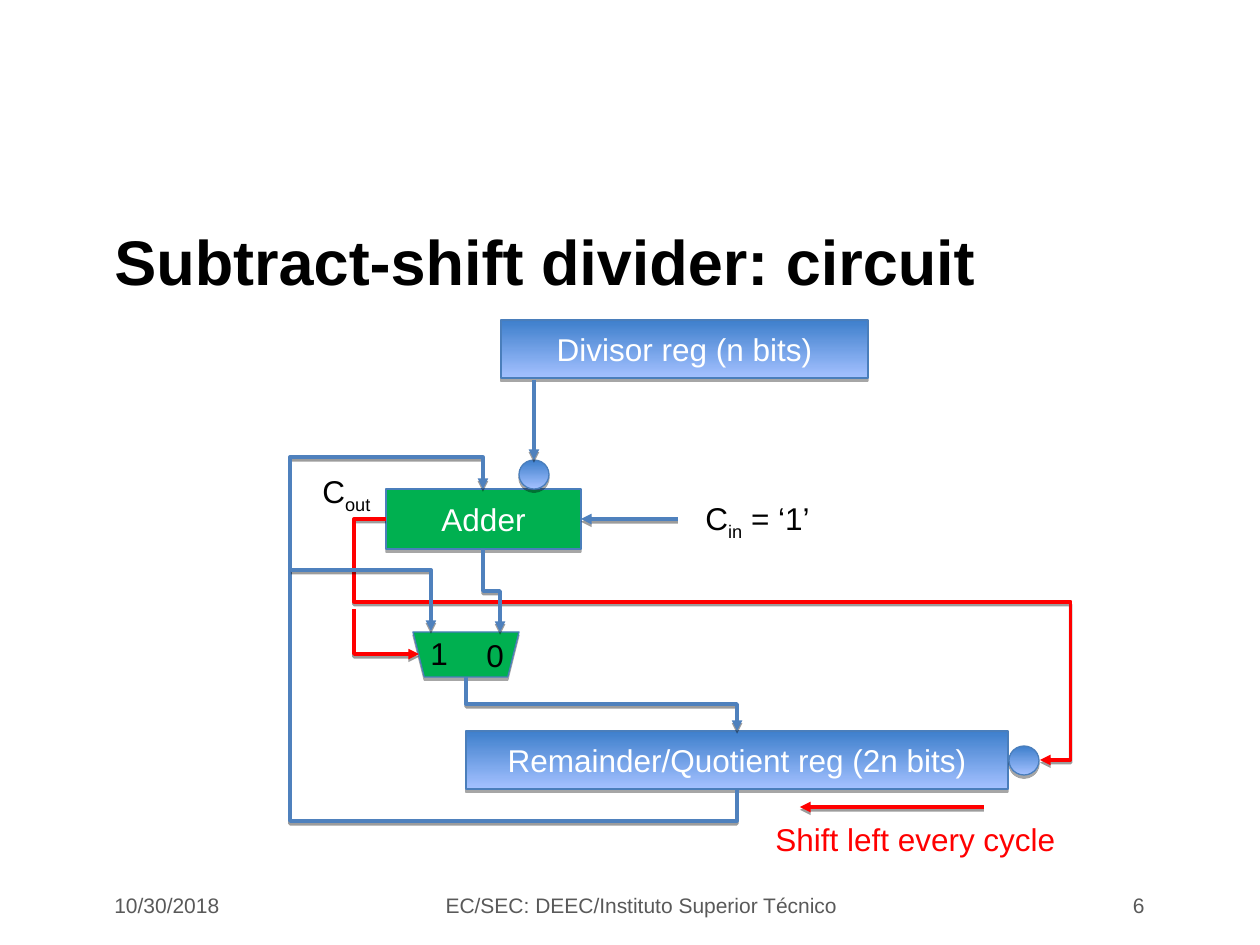
import dataclasses

import lxml.etree
import pptx
import pptx.dml.color
import pptx.enum.shapes
import pptx.enum.text
import pptx.oxml.ns
import pptx.util

SCALE = 914400 / 126
qn = pptx.oxml.ns.qn
KIND = pptx.enum.shapes.MSO_SHAPE
LINK = pptx.enum.shapes.MSO_CONNECTOR
ALIGN = pptx.enum.text.PP_ALIGN
MIDDLE = pptx.enum.text.MSO_ANCHOR.MIDDLE


@dataclasses.dataclass(frozen=True)
class Theme:
    font: str = "Arial"
    black: str = "000000"
    white: str = "FFFFFF"
    grey: str = "595959"
    red: str = "FF0000"
    green: str = "00B050"
    wire: str = "4F81BD"
    edge: str = "4A7EBB"
    blues: tuple = ("3E7FCC", "A4C1FF")
    title: int = 36
    body: int = 18
    foot: int = 12


THEME = Theme()


def px(*nums):
    return [pptx.util.Emu(round(n * SCALE)) for n in nums]


def rgb(code):
    return pptx.dml.color.RGBColor.from_string(code)


def style(para, size, color, align=ALIGN.LEFT, bold=False):
    para.alignment = align
    para.font.name = THEME.font
    para.font.size = pptx.util.Pt(size)
    para.font.bold = bold
    para.font.color.rgb = rgb(color)


def shade(props, dist, alpha):
    """Give shape properties a hard shadow that falls straight down."""
    effects = props.find(qn("a:effectLst"))
    if effects is None:
        effects = lxml.etree.SubElement(props, qn("a:effectLst"))
    drop = lxml.etree.SubElement(
        effects, qn("a:outerShdw"), blurRad="0", dist=str(dist),
        dir="5400000", rotWithShape="0")
    tint = lxml.etree.SubElement(drop, qn("a:srgbClr"), val=THEME.black)
    lxml.etree.SubElement(tint, qn("a:alpha"), val=str(alpha * 1000))


def block(slide, kind, box, text="", fill=None):
    """Add a circuit part; without a fill colour it gets the blue gradient."""
    part = slide.shapes.add_shape(kind, *px(*box))
    if fill:
        part.fill.solid()
        part.fill.fore_color.rgb = rgb(fill)
    else:
        part.fill.gradient()
        part.fill.gradient_angle = 270
        for stop, color in zip(part.fill.gradient_stops, THEME.blues):
            stop.color.rgb = rgb(color)
    part.line.color.rgb = rgb(THEME.edge)
    part.line.width = pptx.util.Pt(0.75)
    part.shadow.inherit = False
    shade(part._element.spPr, 23000, 35)
    if text:
        part.text_frame.text = text
        part.text_frame.vertical_anchor = MIDDLE
        style(part.text_frame.paragraphs[0], THEME.body, THEME.white,
              ALIGN.CENTER)
    return part


def finish(link, color):
    link.line.color.rgb = rgb(color)
    link.line.width = pptx.util.Pt(2)
    lxml.etree.SubElement(link.line._get_or_add_ln(), qn("a:tailEnd"),
                          type="triangle")
    shade(link._element.spPr, 20000, 38)


def arrow(slide, start, end, color=THEME.wire):
    link = slide.shapes.add_connector(LINK.STRAIGHT, *px(*start, *end))
    finish(link, color)
    return link


def elbow(slide, start, end, bends=(), down=False, color=THEME.wire):
    """Route a bent wire; bends are the x and y of its inner legs in turn.

    It leaves sideways, or vertically when down is set.
    """
    (x, y), (x2, y2) = start, end
    dx, dy = x2 - x, y2 - y
    wide, high = abs(dx), abs(dy)
    turn, flip_h, flip_v = 0, dx < 0, dy < 0
    legs = [(x, dx), (y, dy)]
    if down:
        wide, high = high, wide
        turn = 90 if dx < 0 else 270
        flip_h, flip_v = (dy < 0) == (dx < 0), False
        legs.reverse()
    link = slide.shapes.add_connector(LINK.ELBOW, 0, 0, 0, 0)
    link.left, link.top, link.width, link.height = px(
        (x + x2 - wide) / 2, (y + y2 - high) / 2, wide, high)
    props = link._element.spPr
    frame = props.find(qn("a:xfrm"))
    frame.set("rot", str(turn * 60000))
    frame.set("flipH", str(int(flip_h)))
    frame.set("flipV", str(int(flip_v)))
    shape = props.find(qn("a:prstGeom"))
    shape.set("prst", f"bentConnector{len(bends) + 2}")
    guides = shape.find(qn("a:avLst"))
    for i, bend in enumerate(bends):
        base, span = legs[i % 2]
        ratio = round((bend - base) / span * 100000)
        lxml.etree.SubElement(guides, qn("a:gd"), name=f"adj{i + 1}",
                              fmla=f"val {ratio}")
    finish(link, color)


def label(slide, box, *runs, color=THEME.black):
    """Add a one-line label; every second run is a subscript."""
    frame = slide.shapes.add_textbox(*px(*box)).text_frame
    frame.word_wrap = False
    para = frame.paragraphs[0]
    for i, text in enumerate(runs):
        run = para.add_run()
        run.text = text
        if i % 2:
            run.font._element.set("baseline", "-25000")
    style(para, THEME.body, color)


def line(slide, box, text, size, color, align=ALIGN.LEFT, bold=False):
    frame = slide.shapes.add_textbox(*px(*box)).text_frame
    frame.word_wrap = True
    frame.vertical_anchor = MIDDLE
    frame.text = text
    style(frame.paragraphs[0], size, color, align, bold)


def frame_text(slide):
    line(slide, (102, 200, 1055, 120), "Subtract-shift divider: circuit",
         THEME.title, THEME.black, bold=True)
    for left, wide, text, align in (
            (102, 255, "10/30/2018", ALIGN.LEFT),
            (428, 427, "EC/SEC: DEEC/Instituto Superior Técnico",
             ALIGN.CENTER),
            (905, 252, "6", ALIGN.RIGHT)):
        line(slide, (left, 884, wide, 43), text, THEME.foot, THEME.grey,
             align)


def circuit(slide):
    block(slide, KIND.RECTANGLE, (501, 320, 367, 58), "Divisor reg (n bits)")
    block(slide, KIND.RECTANGLE, (466, 731, 542, 58),
          "Remainder/Quotient reg (2n bits)")
    adder = block(slide, KIND.RECTANGLE, (386, 489, 195, 60), "Adder",
                  THEME.green)
    block(slide, KIND.OVAL, (519, 460, 30, 29))
    arrow(slide, (678, 519), (581, 519)).end_connect(adder, 3)
    elbow(slide, (737, 790), (483, 489), (821, 290, 457), down=True)
    arrow(slide, (534, 380), (534, 460))
    elbow(slide, (386, 519), (1040, 760), (354, 602, 1071), color=THEME.red)
    block(slide, KIND.OVAL, (1009, 746, 30, 29))
    mux = block(slide, KIND.TRAPEZOID, (413, 632, 106, 45), fill=THEME.green)
    mux.rotation = 180
    elbow(slide, (483, 549), (500, 632), (591,), down=True)
    elbow(slide, (466, 677), (737, 731), (704,), down=True)
    elbow(slide, (354, 609), (419, 654), down=True, color=THEME.red)
    elbow(slide, (291, 570), (431, 631))
    arrow(slide, (984, 807), (800, 807), THEME.red)


def labels(slide):
    label(slide, (693, 493, 130, 55), "C", "in", " = ‘1’")
    label(slide, (310, 466, 73, 55), "C", "out")
    label(slide, (418, 628, 43, 50), "1")
    label(slide, (474, 630, 43, 50), "0")
    label(slide, (763, 814, 305, 50), "Shift left every cycle",
          color=THEME.red)


def main():
    deck = pptx.Presentation()
    deck.slide_width, deck.slide_height = px(1260, 945)
    slide = deck.slides.add_slide(deck.slide_layouts[6])
    frame_text(slide)
    circuit(slide)
    labels(slide)
    deck.save("out.pptx")


if __name__ == "__main__":
    main()
